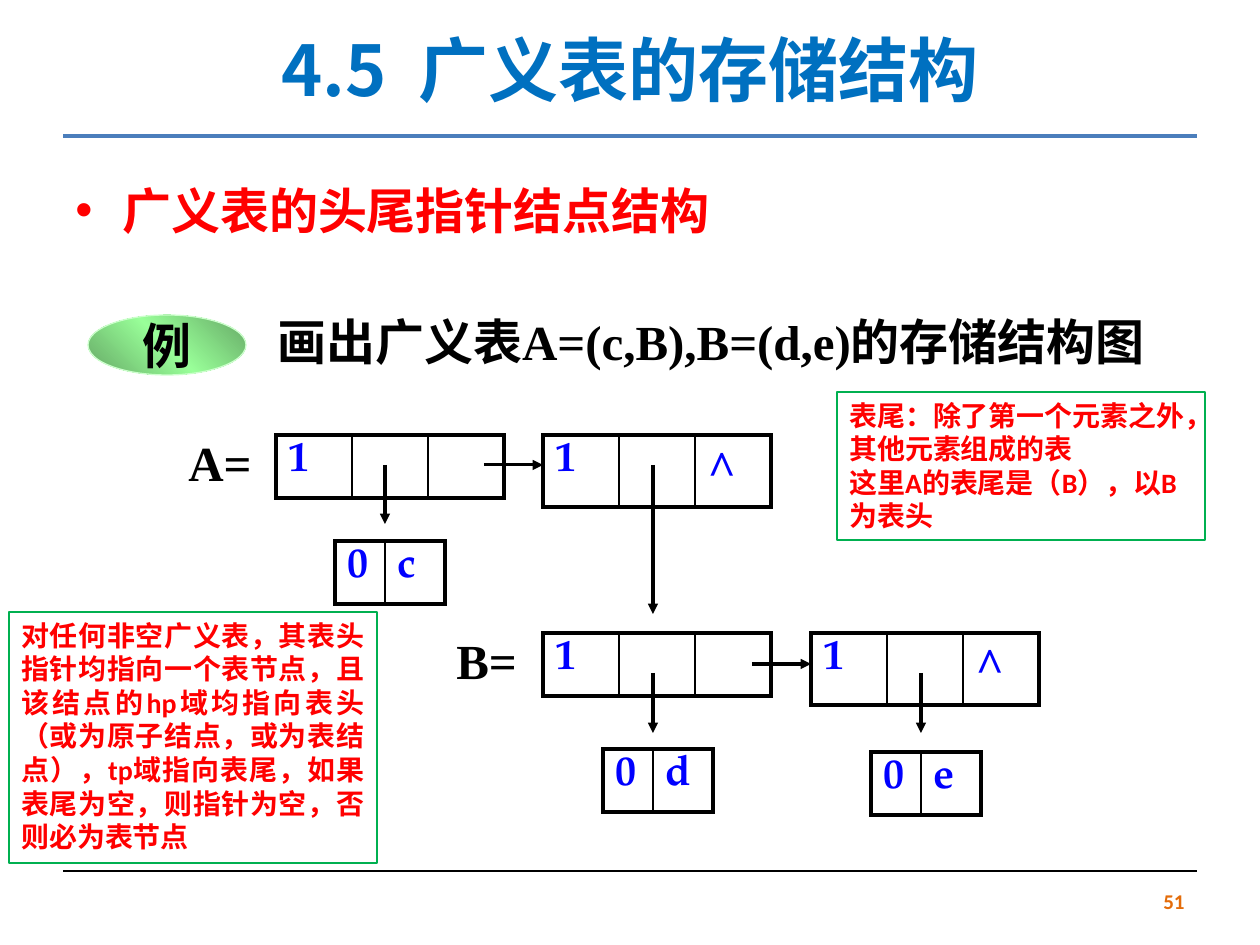
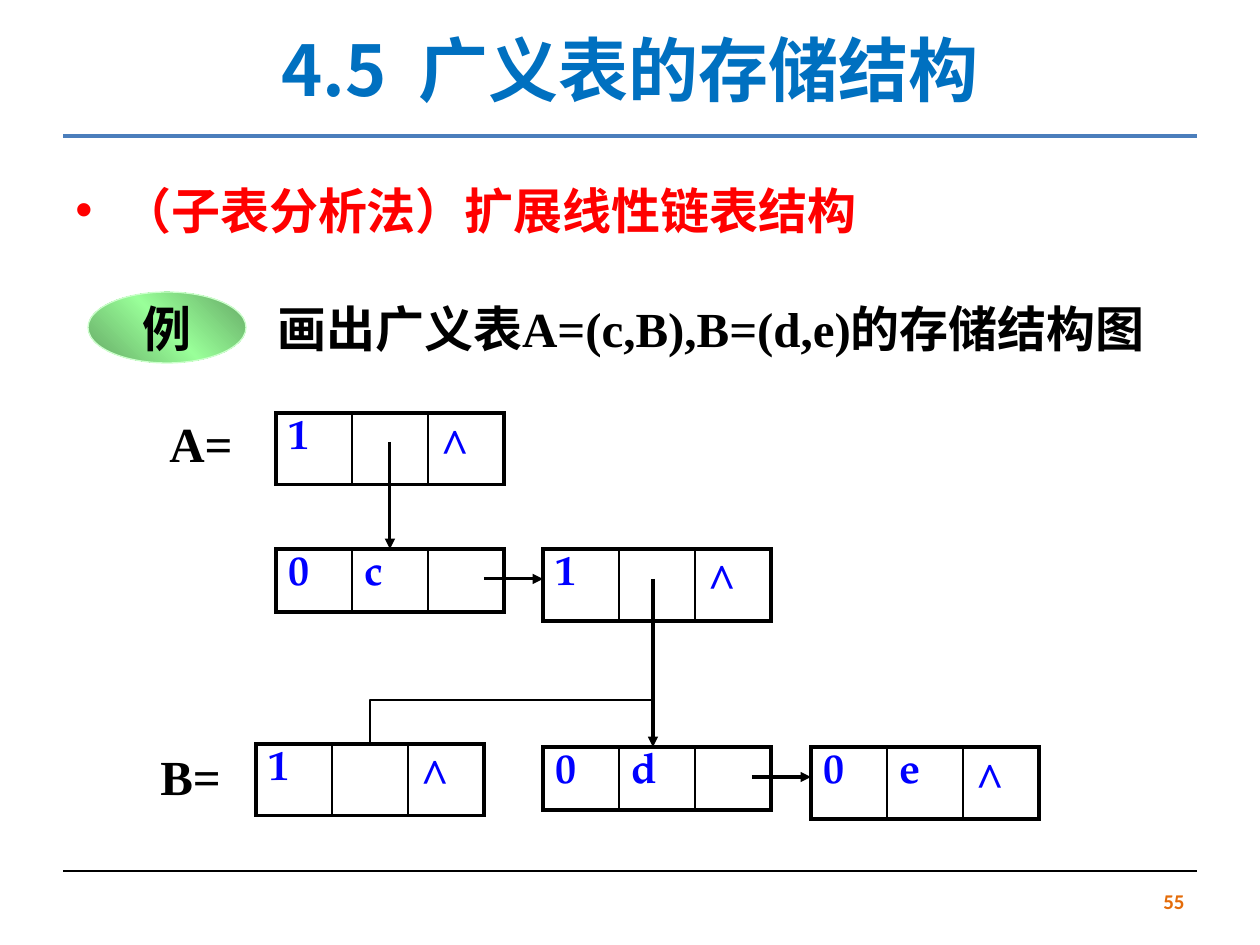
from copy import deepcopy

from lxml import etree
from pptx import Presentation
from pptx.dml.color import RGBColor
from pptx.enum.shapes import MSO_CONNECTOR, MSO_SHAPE
from pptx.enum.text import MSO_ANCHOR, PP_ALIGN
from pptx.oxml.ns import qn
from pptx.util import Pt

EMU_PER_PX = 914400 / 126
LEFT, CENTER, RIGHT, JUSTIFY = PP_ALIGN.LEFT, PP_ALIGN.CENTER, PP_ALIGN.RIGHT, PP_ALIGN.JUSTIFY
TOP, MIDDLE = MSO_ANCHOR.TOP, MSO_ANCHOR.MIDDLE
STRAIGHT, ELBOW = MSO_CONNECTOR.STRAIGHT, MSO_CONNECTOR.ELBOW
OVAL, RECTANGLE = MSO_SHAPE.OVAL, MSO_SHAPE.RECTANGLE

COLORS = {
    "title": "0070C0", "band": "4B7EBC", "topic": "FF0000", "page": "E46C0A",
    "ink": "000000", "value": "0000FF", "paper": "FFFFFF", "note": "00B050",
    "badge_edge": "CCFFCC", "badge_dark": "65A865", "badge_light": "99FF99",
}
SANS, SERIF, CJK, NODE_FONT = "Calibri", "Times New Roman", "Noto Sans CJK SC", "TeX Gyre Pagella"
LIST_COLUMNS = (76, 76, 76)
ATOM_COLUMNS = (50, 60)


def px(*lengths):
    return [round(length * EMU_PER_PX) for length in lengths]


def rgb(name):
    return RGBColor.from_string(COLORS[name])


def write(frame, text, size=28, font=SERIF, color="ink", align=LEFT, anchor=TOP,
          wrap=True, bullet=False, line_spacing=None):
    """Fill a text frame, one paragraph for each line of text."""
    frame.word_wrap = wrap
    frame.vertical_anchor = anchor
    for number, line in enumerate(text.split("\n")):
        paragraph = frame.add_paragraph() if number else frame.paragraphs[0]
        if bullet:
            indent = px(47)[0]
            properties = paragraph._p.get_or_add_pPr()
            properties.set("marL", str(indent))
            properties.set("indent", str(-indent))
            etree.SubElement(properties, qn("a:buFont"), typeface="Arial")
            etree.SubElement(properties, qn("a:buChar"), char="•")
        paragraph.alignment = align
        if line_spacing:
            paragraph.line_spacing = Pt(line_spacing)
        run = paragraph.add_run()
        run.text = line
        run.font.size = Pt(size)
        run.font.bold = True
        run.font.color.rgb = rgb(color)
        run.font.name = font
        etree.SubElement(run._r.get_or_add_rPr(), qn("a:ea"), typeface=CJK)


def add_text(slide, box, text, **text_format):
    write(slide.shapes.add_textbox(*px(*box)).text_frame, text, **text_format)


def add_line(slide, start, end, color="ink", width=1.75, arrow=False, kind=STRAIGHT):
    line = slide.shapes.add_connector(kind, *px(*start, *end))
    line.line.color.rgb = rgb(color)
    line.line.width = Pt(width)
    if arrow:
        etree.SubElement(line.line._get_or_add_ln(), qn("a:tailEnd"), type="triangle")
    etree.SubElement(line._element.spPr, qn("a:effectLst"))
    return line


def add_elbow(slide, start, end):
    """Draw a line that runs level from start, then turns once to end."""
    elbow = add_line(slide, start, end, width=1.5, kind=ELBOW)
    elbow._element.spPr.find(qn("a:prstGeom")).set("prst", "bentConnector2")


def add_outlined_shape(slide, kind, box, edge, width):
    shape = slide.shapes.add_shape(kind, *px(*box))
    shape.shadow.inherit = False
    shape.line.color.rgb = rgb(edge)
    shape.line.width = Pt(width)
    return shape


def add_note(slide, box, text, align=LEFT):
    note = add_outlined_shape(slide, RECTANGLE, box, "note", 1.5)
    note.fill.solid()
    note.fill.fore_color.rgb = rgb("paper")
    write(note.text_frame, text, size=16, font=SANS, color="topic", align=align)


def add_badge(slide, top, height):
    badge = add_outlined_shape(slide, OVAL, (88, top, 158, height), "badge_edge", 0.75)
    badge.fill.gradient()
    badge.fill.gradient_angle = 45
    stop_list = badge._element.spPr.find(".//" + qn("a:gsLst"))
    stop_list.append(deepcopy(stop_list[0]))
    shades = ("badge_dark", "badge_light", "badge_dark")
    for stop, position, shade in zip(badge.fill.gradient_stops, (0, 0.5, 1), shades):
        stop.position = position
        stop.color.rgb = rgb(shade)
    write(badge.text_frame, "例", align=CENTER, anchor=MIDDLE, wrap=False)


def set_borders(cell, is_first, is_last):
    """Draw thick outer edges and thin dividers."""
    widths = {"a:lnL": 2.25 if is_first else 1, "a:lnR": 2.25 if is_last else 1,
              "a:lnT": 2.25, "a:lnB": 2.25}
    properties = cell._tc.get_or_add_tcPr()
    for position, (tag, width) in enumerate(widths.items()):
        border = etree.Element(qn(tag), w=str(Pt(width)))
        fill = etree.SubElement(border, qn("a:solidFill"))
        etree.SubElement(fill, qn("a:srgbClr"), val=COLORS["ink"])
        properties.insert(position, border)


def add_node(slide, left, top, height, values, columns=LIST_COLUMNS):
    """Draw a list node as a one-row table."""
    table = slide.shapes.add_table(
        1, len(columns), *px(left, top, sum(columns), height)).table
    table.first_row = table.horz_banding = False
    for index, (value, width) in enumerate(zip(values, columns)):
        table.columns[index].width = px(width)[0]
        cell = table.cell(0, index)
        cell.fill.background()
        set_borders(cell, index == 0, index == len(columns) - 1)
        if value == "^":
            write(cell.text_frame, value, color="value")
        elif value:
            write(cell.text_frame, value, size=24, font=NODE_FONT, color="value")


def add_label(slide, left, top, text):
    add_text(slide, (left, top, 110, 72), text)


def add_frame(presentation, topic, page):
    """Add a slide with the title, rules, topic line and page number."""
    slide = presentation.slides.add_slide(presentation.slide_layouts[6])
    add_line(slide, (63, 136), (1197, 136), color="band", width=2.75)
    add_line(slide, (63, 871), (1197, 871), width=0.75)
    add_text(slide, (63, 0, 1134, 137), "4.5  广义表的存储结构", size=40, font=CJK,
             color="title", align=CENTER, anchor=MIDDLE)
    add_text(slide, (63, 179, 1134, 703), topic, font=SANS, color="topic",
             align=JUSTIFY, bullet=True, line_spacing=31)
    add_text(slide, (903, 876, 294, 50), page, size=12, font=SANS, color="page",
             align=RIGHT, anchor=MIDDLE)
    return slide


def add_task(slide, top, badge_top, badge_height):
    add_badge(slide, badge_top, badge_height)
    add_text(slide, (265, top, 923, 72), "画出广义表A=(c,B),B=(d,e)的存储结构图")


def add_head_tail_slide(presentation):
    slide = add_frame(presentation, "广义表的头尾指针结点结构", "51")
    add_task(slide, 305, 315, 60)

    add_label(slide, 176, 426, "A=")
    add_node(slide, 276, 435, 63, ("1", "", ""))
    add_node(slide, 543, 435, 72, ("1", "", "^"))
    add_node(slide, 335, 541, 63, ("0", "c"), ATOM_COLUMNS)

    add_label(slide, 444, 624, "B=")
    add_node(slide, 543, 633, 60, ("1", "", ""))
    add_node(slide, 811, 633, 72, ("1", "", "^"))
    add_node(slide, 603, 749, 56, ("0", "d"), ATOM_COLUMNS)
    add_node(slide, 871, 752, 63, ("0", "e"), ATOM_COLUMNS)

    for start, end in (
        ((484, 465), (543, 465)), ((385, 465), (385, 524)), ((653, 465), (653, 614)),
        ((752, 664), (811, 664)), ((653, 673), (653, 733)), ((921, 673), (921, 733)),
    ):
        add_line(slide, start, end, arrow=True)

    add_note(slide, (9, 612, 368, 251),
             "对任何非空广义表，其表头指针均指向一个表节点，且该结点的hp域均指向表头"
             "（或为原子结点，或为表结点），tp域指向表尾，如果表尾为空，则指针为空，"
             "否则必为表节点", align=JUSTIFY)
    add_note(slide, (837, 392, 368, 148),
             "表尾：除了第一个元素之外，其他元素组成的表\n这里A的表尾是（B），以B为表头")


def add_sublist_slide(presentation):
    slide = add_frame(presentation, "（子表分析法）扩展线性链表结构", "55")
    add_task(slide, 292, 292, 71)

    add_label(slide, 157, 407, "A=")
    add_node(slide, 276, 413, 68, ("1", "", "^"))
    add_node(slide, 276, 549, 63, ("0", "c", ""))
    add_node(slide, 543, 549, 72, ("1", "", "^"))

    add_label(slide, 148, 740, "B=")
    add_node(slide, 256, 744, 67, ("1", "", "^"))
    add_node(slide, 543, 747, 60, ("0", "d", ""))
    add_node(slide, 811, 747, 72, ("0", "e", "^"))

    for start, end in (
        ((390, 442), (390, 549)), ((484, 579), (543, 579)),
        ((653, 579), (653, 747)), ((752, 777), (811, 777)),
    ):
        add_line(slide, start, end, arrow=True)
    add_elbow(slide, (653, 700), (370, 744))


def main():
    presentation = Presentation()
    presentation.slide_width, presentation.slide_height = px(1260, 945)
    add_head_tail_slide(presentation)
    add_sublist_slide(presentation)
    presentation.save("out.pptx")


if __name__ == "__main__":
    main()
